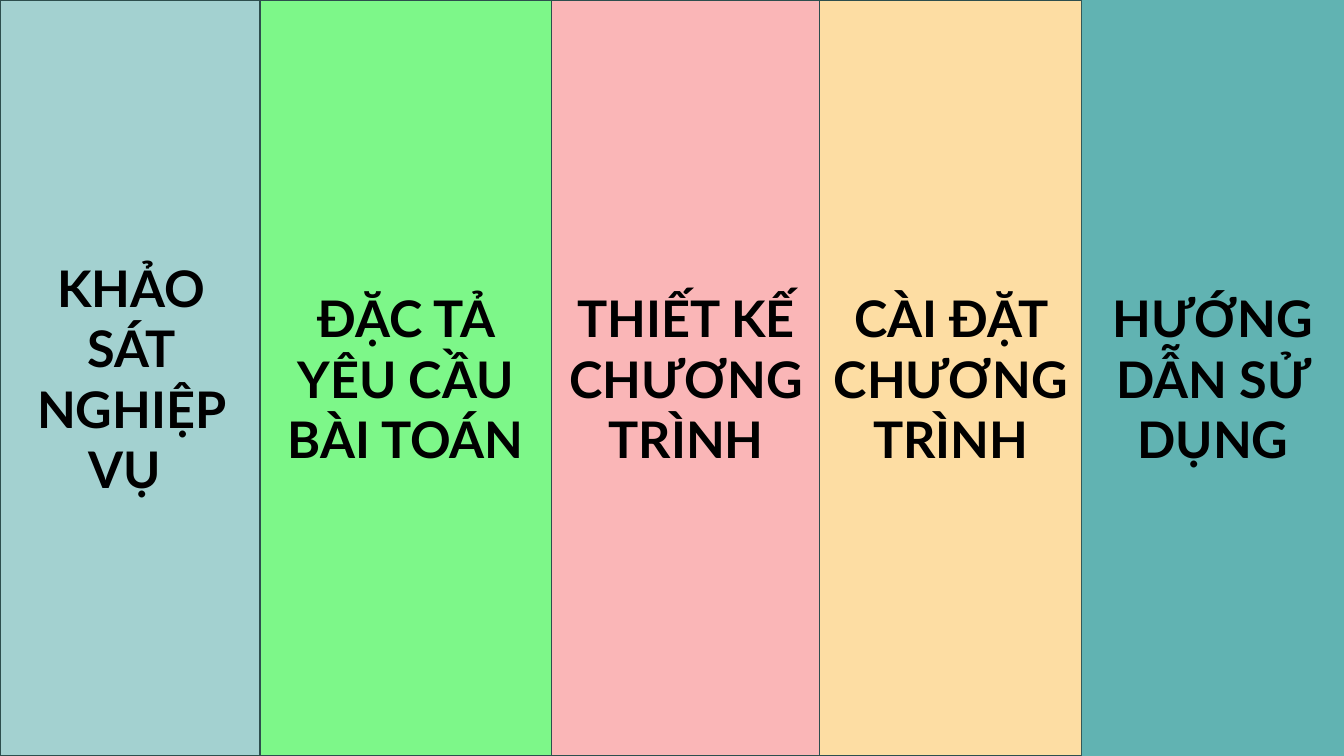
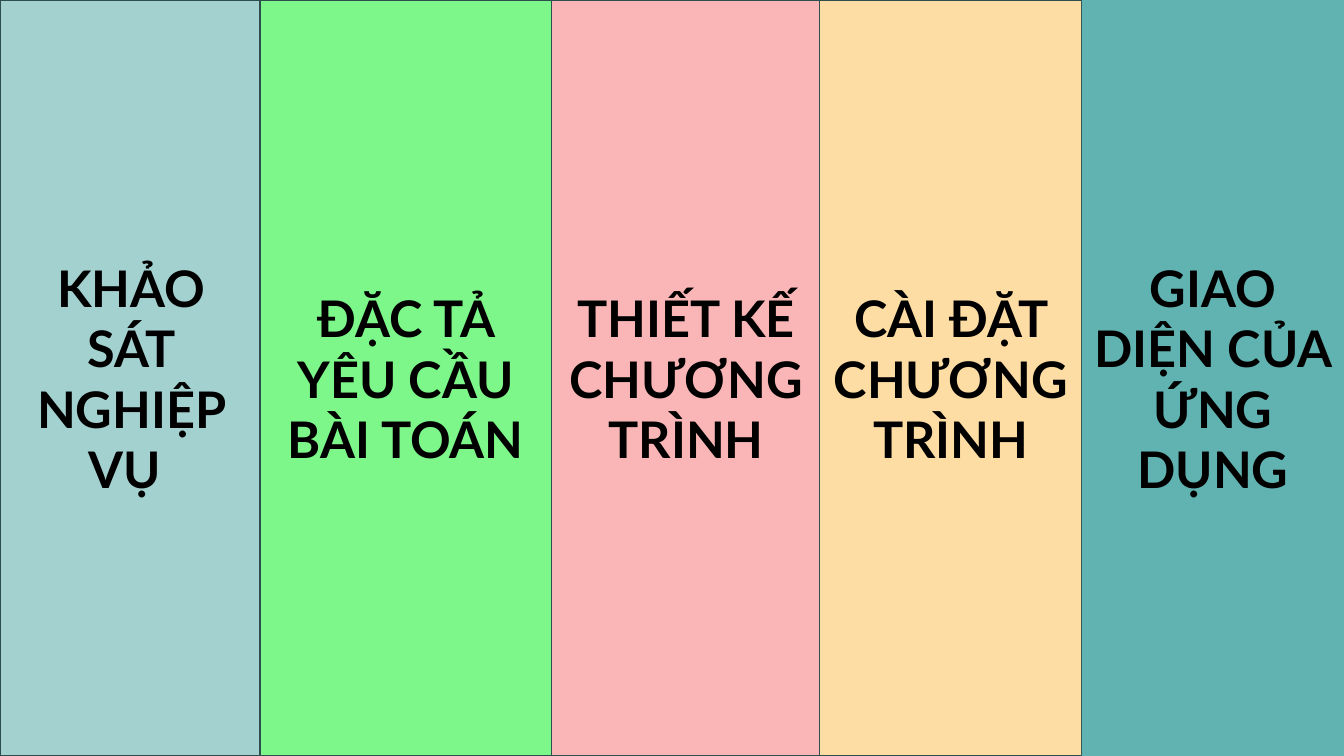
from dataclasses import dataclass

from pptx import Presentation
from pptx.dml.color import RGBColor
from pptx.enum.shapes import MSO_SHAPE
from pptx.enum.text import MSO_ANCHOR, PP_ALIGN
from pptx.util import Inches, Pt

RECT = MSO_SHAPE.RECTANGLE
MIDDLE = MSO_ANCHOR.MIDDLE
CENTER = PP_ALIGN.CENTER
SLIDE_W, SLIDE_H = 13.33, 7.5


@dataclass(frozen=True)
class Theme:
    teal_light: str = "A3D1D0"
    green: str = "7DF789"
    pink: str = "FAB6B7"
    sand: str = "FDDDA3"
    teal: str = "61B3B2"
    outline: str = "2D4E4D"
    text: str = "000000"
    font: str = "Lato"
    title_size: int = 36
    line_width: int = 1


THEME = Theme()

# Left, width, fill and title of the bands shared by both slides
SHARED_BANDS = [
    (0, 2.6, THEME.teal_light, "KHẢO SÁT NGHIỆP VỤ "),
    (2.58, 2.89, THEME.green, "ĐẶC TẢ YÊU CẦU BÀI TOÁN"),
    (5.47, 2.67, THEME.pink, "THIẾT KẾ CHƯƠNG TRÌNH"),
    (8.13, 2.6, THEME.sand, "CÀI ĐẶT CHƯƠNG TRÌNH"),
]
LAST_LEFT, LAST_WIDTH = 10.73, 2.6
LAST_TITLES = ["HƯỚNG DẪN SỬ DỤNG", "GIAO DIỆN CỦA ỨNG DỤNG"]


class Deck:
    def __init__(self, theme):
        self.theme = theme
        self.prs = Presentation()
        self.prs.slide_width = Inches(SLIDE_W)
        self.prs.slide_height = Inches(SLIDE_H)
        self.s = None

    def slide(self):
        self.s = self.prs.slides.add_slide(self.prs.slide_layouts[6])

    def band(self, left, width, fill, title, outlined=True):
        """Add a full-height colour band with a centred title."""
        sp = self.s.shapes.add_shape(
            RECT, Inches(left), 0, Inches(width), Inches(SLIDE_H))
        sp.shadow.inherit = False
        sp.fill.solid()
        sp.fill.fore_color.rgb = RGBColor.from_string(fill)
        if outlined:
            sp.line.color.rgb = RGBColor.from_string(self.theme.outline)
            sp.line.width = Pt(self.theme.line_width)
        else:
            sp.line.fill.background()
        self.title(sp.text_frame, title)

    def title(self, tf, text):
        tf.word_wrap = True
        tf.vertical_anchor = MIDDLE
        p = tf.paragraphs[0]
        p.alignment = CENTER
        r = p.add_run()
        r.text = text
        style = {"name": self.theme.font, "size": Pt(self.theme.title_size),
                 "bold": True}
        for key, value in style.items():
            setattr(r.font, key, value)
        r.font.color.rgb = RGBColor.from_string(self.theme.text)


def main():
    deck = Deck(THEME)
    for last_title in LAST_TITLES:
        deck.slide()
        for band in SHARED_BANDS:
            deck.band(*band)
        # The last band changes from slide to slide
        deck.band(LAST_LEFT, LAST_WIDTH, THEME.teal, last_title, outlined=False)
    deck.prs.save("out.pptx")


if __name__ == "__main__":
    main()
